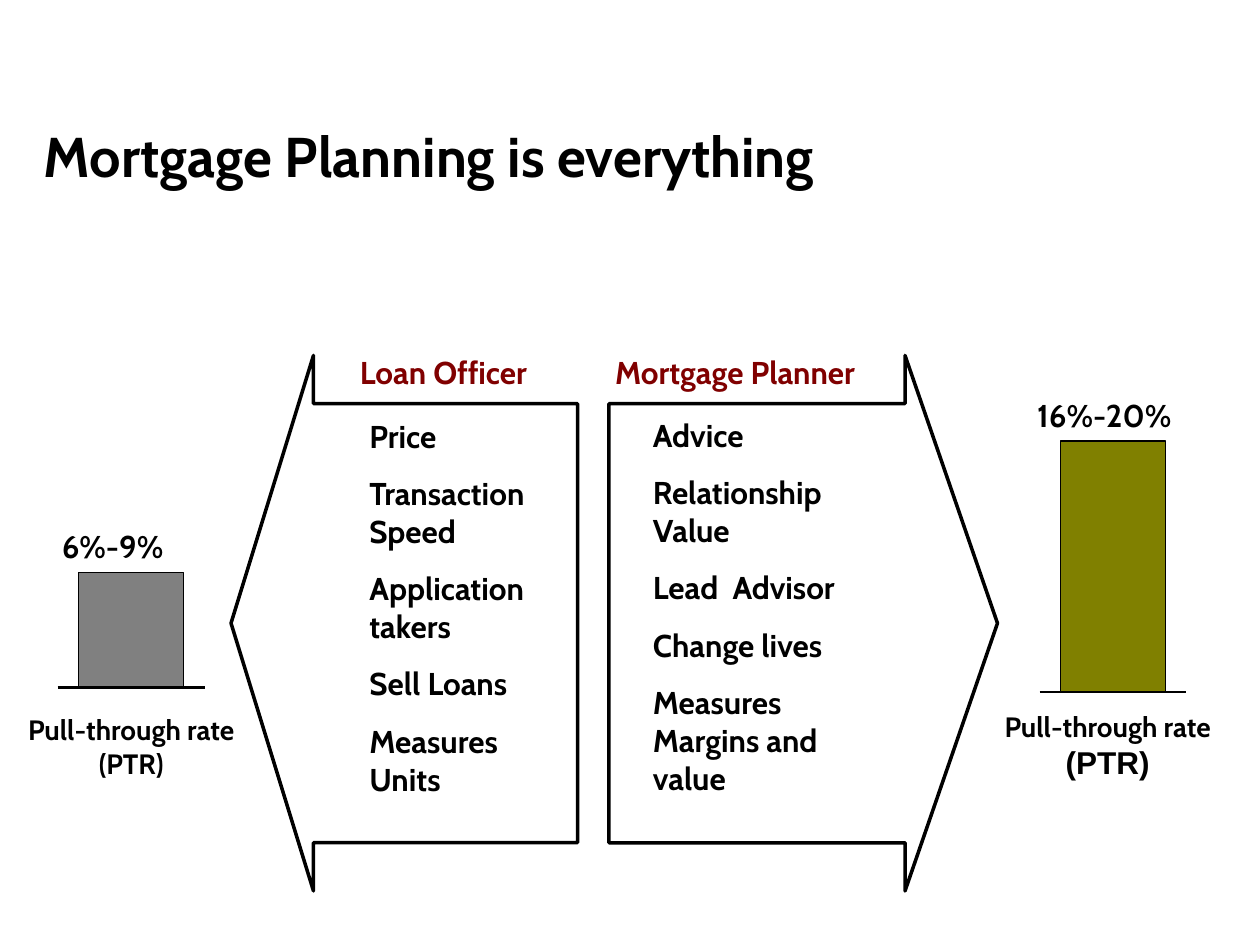
from lxml import etree
from pptx import Presentation
from pptx.dml.color import RGBColor
from pptx.enum.shapes import MSO_CONNECTOR, MSO_SHAPE
from pptx.enum.text import PP_ALIGN
from pptx.oxml.ns import qn
from pptx.util import Inches, Pt

LEFT, CENTER = PP_ALIGN.LEFT, PP_ALIGN.CENTER
ARROW, RECTANGLE = MSO_SHAPE.LEFT_ARROW, MSO_SHAPE.RECTANGLE
STRAIGHT = MSO_CONNECTOR.STRAIGHT
COLUMNS, ROWS = 120, 90
BLACK, MAROON, GRAY, OLIVE = "000000", "800000", "808080", "808000"


def color(value):
    """Turn a hex string into a colour."""
    return RGBColor.from_string(value)


class SlideBuilder:
    """Draw styled elements on a slide measured in grid columns and rows."""

    font = "Cabin"

    def __init__(self, deck):
        """Add a blank slide to the deck."""
        self.slide = deck.slides.add_slide(deck.slide_layouts[6])
        self.column = deck.slide_width / COLUMNS
        self.row = deck.slide_height / ROWS

    def grid(self, *lengths):
        """Convert alternating columns and rows to lengths."""
        return [round(n * (self.row if i % 2 else self.column)) for i, n in enumerate(lengths)]

    def text(self, box, lines, size=18, ink=BLACK, align=LEFT, before=11.2):
        """Add a bold text box with one paragraph per line."""
        frame = self.slide.shapes.add_textbox(*self.grid(*box)).text_frame
        frame.word_wrap = True
        frame.text = "\n".join(lines)
        for paragraph in frame.paragraphs:
            paragraph.alignment = align
            paragraph.space_before = Pt(before)
            paragraph.font.name = self.font
            paragraph.font.size = Pt(size)
            paragraph.font.bold = True
            paragraph.font.color.rgb = color(ink)
        return frame

    def shape(self, kind, box, width, fill=None):
        """Add an outlined preset shape, filled if a colour is given."""
        shape = self.slide.shapes.add_shape(kind, *self.grid(*box))
        shape.shadow.inherit = False
        shape.line.color.rgb = color(BLACK)
        shape.line.width = Pt(width)
        if fill:
            shape.fill.solid()
            shape.fill.fore_color.rgb = color(fill)
        else:
            shape.fill.background()
        return shape

    def arrow(self, box, rotation=0):
        """Add a hollow block arrow that points left unless rotated."""
        arrow = self.shape(ARROW, box, 2)
        arrow.adjustments[0] = 0.82
        arrow.adjustments[1] = 0.238
        arrow.rotation = rotation

    def baseline(self, left, right, y):
        """Add a horizontal rule."""
        rule = self.slide.shapes.add_connector(STRAIGHT, *self.grid(left, y, right, y))
        rule.line.color.rgb = color(BLACK)
        rule.line.width = Pt(1.5)
        etree.SubElement(rule._element.spPr, qn("a:effectLst"))

    def rate_bar(self, left, top, height, fill, rate, label_left):
        """Add a bar standing on its baseline below its rate."""
        self.shape(RECTANGLE, (left, top, 10, height), 0.75, fill)
        self.baseline(left - 2, left + 12, top + height)
        self.text((label_left, top - 4.9, 20, 4.8), [rate])


def main():
    """Build and save the slide."""
    deck = Presentation()
    deck.slide_width, deck.slide_height = Inches(10), Inches(7.5)
    page = SlideBuilder(deck)

    page.text((3, 11, 108, 11), ["Mortgage Planning is everything"], size=32, before=8)

    page.arrow((22, 33.85, 33, 51))
    page.text((34, 39.1, 21, 37.5),
              ["Price", "Transaction Speed", "Application takers", "Sell Loans", "Measures Units"])
    page.arrow((58, 33.85, 37, 51), rotation=180)
    page.text((61, 39, 22, 44.8),
              ["Advice", "Relationship Value", "Lead  Advisor", "Change lives",
               "Measures Margins and value"])
    page.text((33.1, 33, 23.5, 4.8), ["Loan Officer"], ink=MAROON)
    page.text((57.4, 33, 30, 4.8), ["Mortgage Planner"], ink=MAROON)

    page.rate_bar(7.5, 54.5, 11, GRAY, "6%-9%", 4.7)
    page.rate_bar(101, 42, 23.9, OLIVE, "16%-20%", 97.6)

    page.text((-1, 67.3, 27, 7.7), ["Pull-through rate (PTR)"], size=16, align=CENTER, before=10)
    caption = page.text((92, 67, 27, 8), ["Pull-through rate "], size=16, align=CENTER)
    abbreviation = caption.paragraphs[0].add_run()
    abbreviation.text = "(PTR)"
    abbreviation.font.name = "Arial"
    abbreviation.font.size = Pt(18)

    deck.save("out.pptx")


if __name__ == "__main__":
    main()
